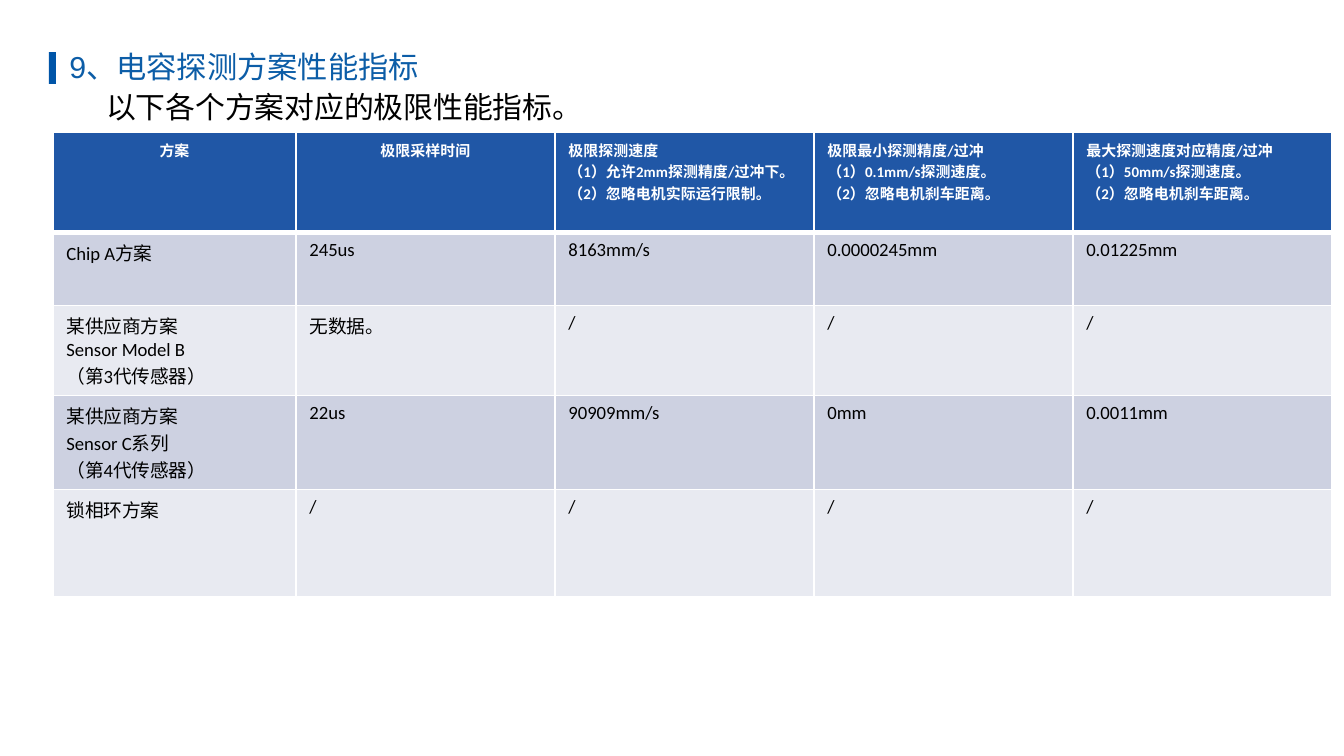
from lxml import etree
from pptx import Presentation
from pptx.dml.color import RGBColor
from pptx.enum.shapes import MSO_SHAPE
from pptx.enum.text import MSO_ANCHOR, MSO_AUTO_SIZE, PP_ALIGN
from pptx.oxml.ns import qn
from pptx.util import Emu, Pt

PX = 914400 / 134.4
RECTANGLE = MSO_SHAPE.RECTANGLE
MIDDLE, NO_FIT = MSO_ANCHOR.MIDDLE, MSO_AUTO_SIZE.NONE
LEFT, CENTER, JUSTIFY = PP_ALIGN.LEFT, PP_ALIGN.CENTER, PP_ALIGN.JUSTIFY
TITLE_ONLY = 5

COLORS = {
    "bar": "0055A8", "title": "0C5DA7", "text": "000000", "white": "FFFFFF",
    "header": "2057A6", "odd": "CDD1E1", "even": "E8EAF1",
}
TITLE_FONT = {"name": "Arial", "size": Pt(16.2), "bold": False}
INTRO_FONT = {"name": "Noto Sans CJK SC", "size": Pt(16)}
HEADER_FONT = {"name": "Calibri", "size": Pt(8), "bold": True}
BODY_FONT = {"name": "Calibri", "size": Pt(10), "bold": False}

COLUMN_WIDTHS = [243] + [259] * 4
ROW_HEIGHTS = [86, 73, 85, 85, 107]
ROWS = [
    ["方案", "极限采样时间",
     "极限探测速度\n（1）允许2mm探测精度/过冲下。\n（2）忽略电机实际运行限制。",
     "极限最小探测精度/过冲\n（1）0.1mm/s探测速度。\n（2）忽略电机刹车距离。",
     "最大探测速度对应精度/过冲\n（1）50mm/s探测速度。\n（2）忽略电机刹车距离。"],
    ["Chip A方案", "245us", "8163mm/s", "0.0000245mm", "0.01225mm"],
    ["某供应商方案\nSensor Model B\n（第3代传感器）", "无数据。", "/", "/", "/"],
    ["某供应商方案\nSensor C系列\n（第4代传感器）", "22us", "90909mm/s", "0mm", "0.0011mm"],
    ["锁相环方案", "/", "/", "/", "/"],
]


def px(length):
    return Emu(round(length * PX))


def color(name):
    return RGBColor.from_string(COLORS[name])


def write(frame, text, font, color_name, align=LEFT):
    frame.text = text
    for para in frame.paragraphs:
        para.alignment = align
        for name, value in font.items():
            setattr(para.font, name, value)
        para.font.color.rgb = color(color_name)


def add_bar(page, *place):
    bar = page.shapes.add_shape(RECTANGLE, *map(px, place))
    bar.shadow.inherit = False
    bar.fill.solid()
    bar.fill.fore_color.rgb = color("bar")
    bar.line.fill.background()


def set_title(page, text, *place):
    title = page.shapes.title
    title.left, title.top, title.width, title.height = map(px, place)
    frame = title.text_frame
    frame.auto_size = NO_FIT
    frame.vertical_anchor = MIDDLE
    write(frame, text, TITLE_FONT, "title")


def add_intro(page, text, *place):
    box = page.shapes.add_textbox(*map(px, place))
    box.text_frame.word_wrap = True
    write(box.text_frame, text, INTRO_FONT, "text", JUSTIFY)
    properties = box.text_frame.paragraphs[0]._p.get_or_add_pPr()
    properties.set("indent", str(px(41)))


def set_borders(cell, top, bottom):
    """Draw white borders; the side borders are 1 pt wide."""
    properties = cell._tc.get_or_add_tcPr()
    for side, width in (("L", 1), ("R", 1), ("T", top), ("B", bottom)):
        line = etree.SubElement(properties, qn(f"a:ln{side}"), w=str(Pt(width)))
        fill = etree.SubElement(line, qn("a:solidFill"))
        etree.SubElement(fill, qn("a:srgbClr"), val=COLORS["white"])


def fill_cell(cell, text, row, column):
    is_header = row == 0
    set_borders(cell, top=3 if row == 1 else 1, bottom=3 if is_header else 1)
    cell.fill.solid()
    shade = "header" if is_header else "odd" if row % 2 else "even"
    cell.fill.fore_color.rgb = color(shade)
    if is_header:
        align = CENTER if column < 2 else LEFT
        write(cell.text_frame, text, HEADER_FONT, "white", align)
    else:
        write(cell.text_frame, text, BODY_FONT, "text")


def add_comparison(page, left, top):
    place = left, top, sum(COLUMN_WIDTHS), sum(ROW_HEIGHTS)
    table = page.shapes.add_table(len(ROWS), len(COLUMN_WIDTHS), *map(px, place)).table
    for column, width in zip(table.columns, COLUMN_WIDTHS):
        column.width = px(width)
    for row, height in zip(table.rows, ROW_HEIGHTS):
        row.height = px(height)
    for row, texts in enumerate(ROWS):
        for column, text in enumerate(texts):
            fill_cell(table.cell(row, column), text, row, column)


def main():
    deck = Presentation()
    deck.slide_width, deck.slide_height = px(1344), px(756)
    page = deck.slides.add_slide(deck.slide_layouts[TITLE_ONLY])
    add_bar(page, 49, 52, 7, 32)
    set_title(page, "9、电容探测方案性能指标", 56, 41, 668, 51)
    add_comparison(page, 53, 132)
    add_intro(page, "以下各个方案对应的极限性能指标。", 52, 82, 1202, 50)
    deck.save("out.pptx")


if __name__ == "__main__":
    main()
